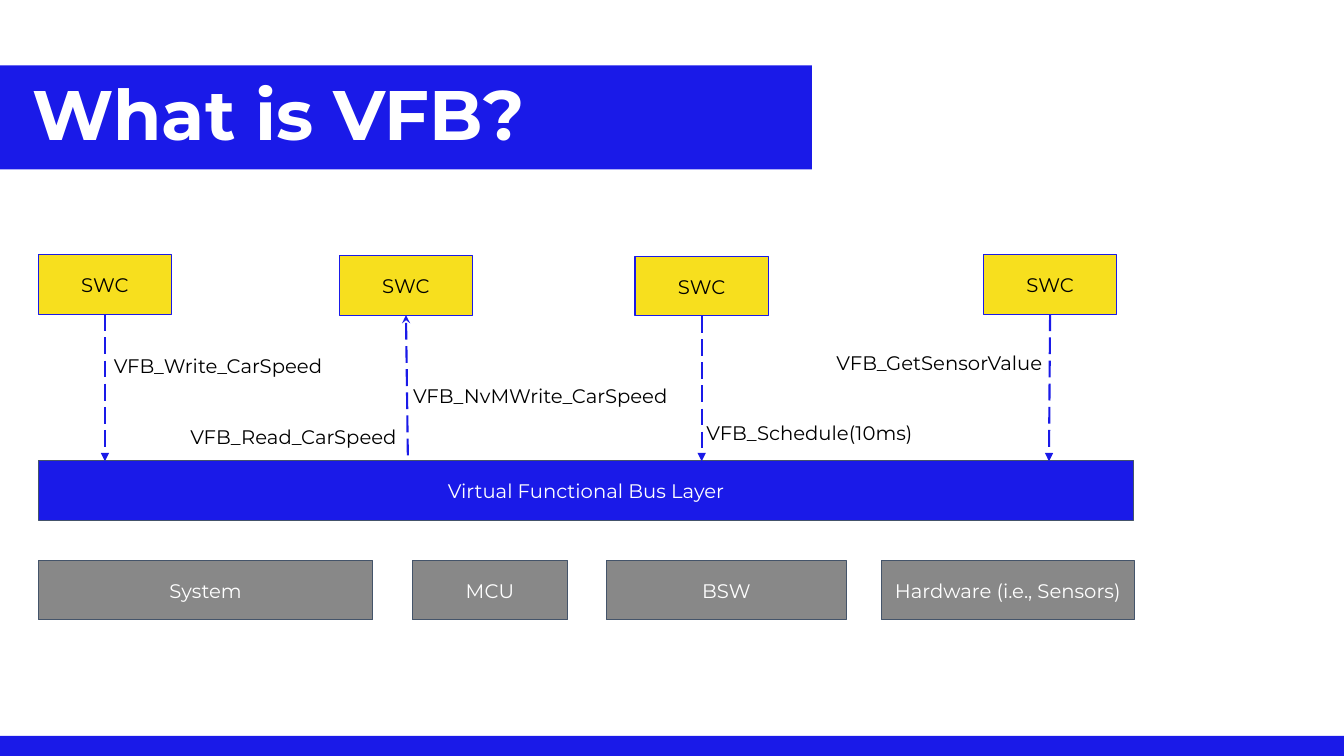
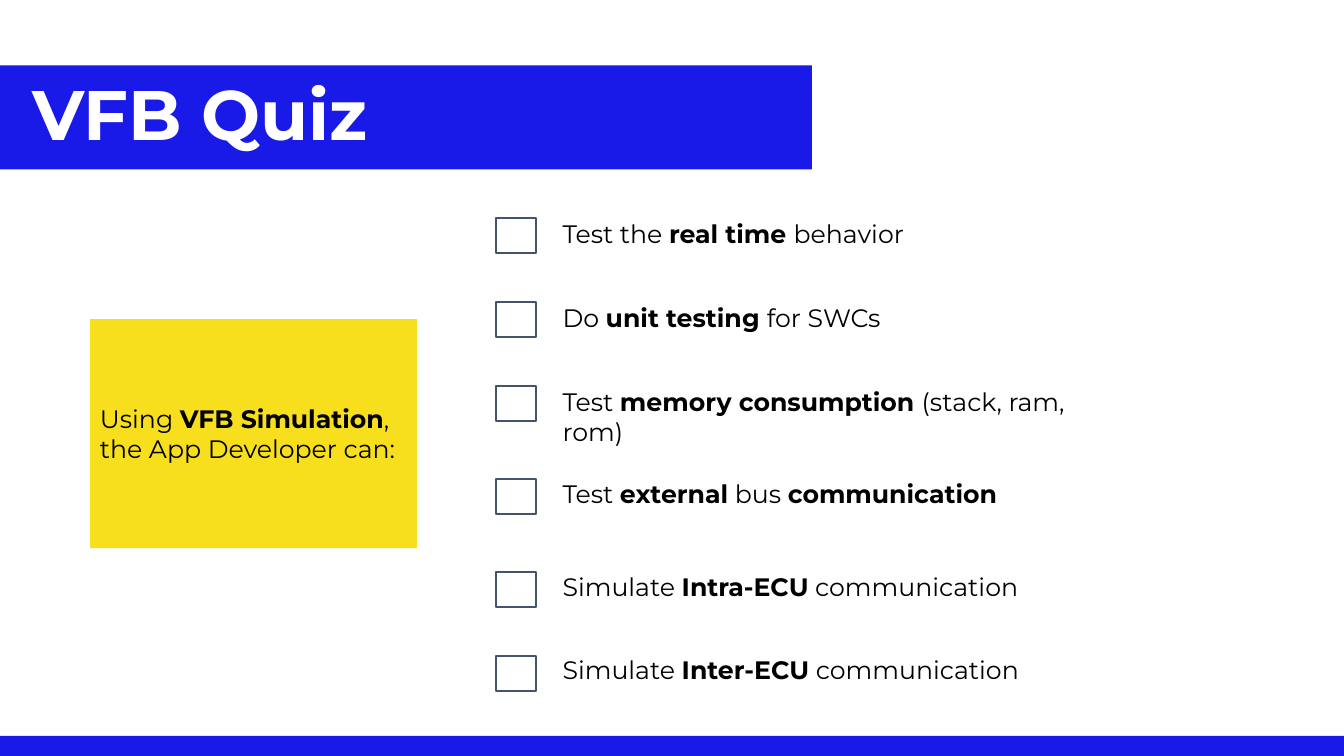
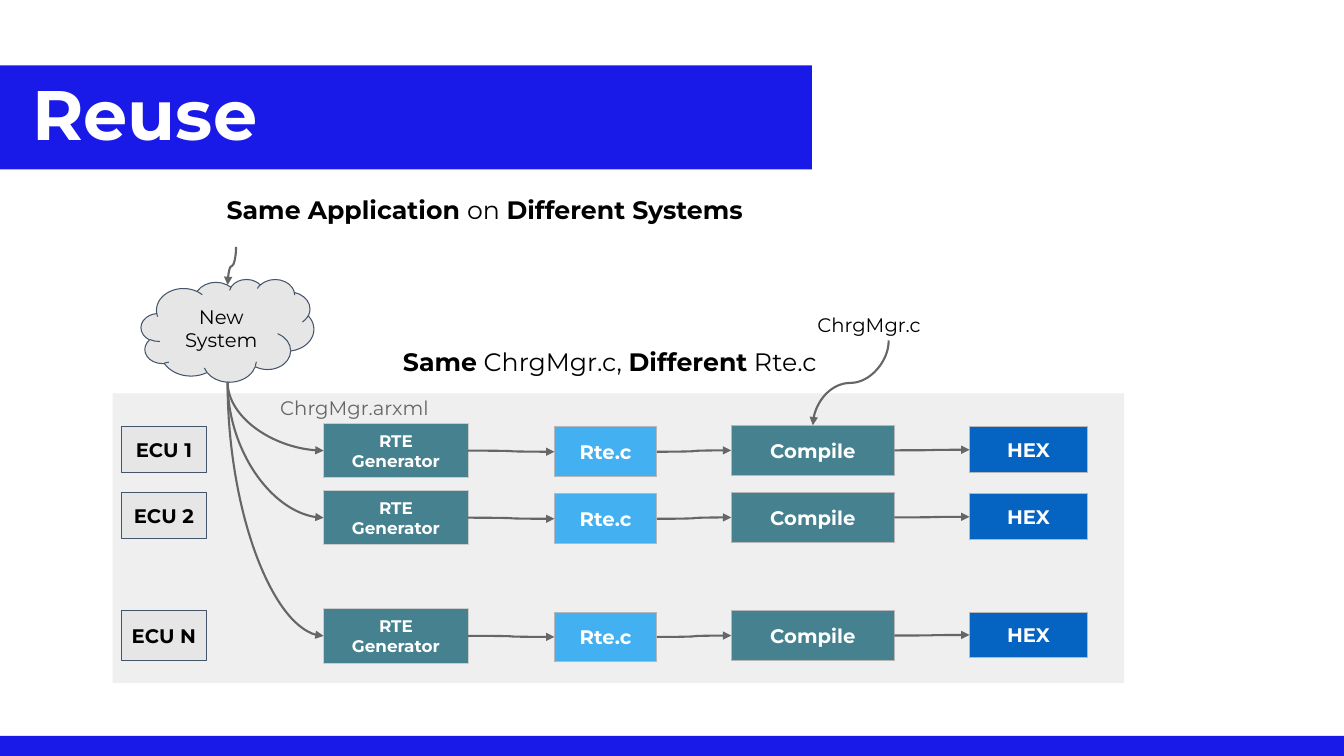
from dataclasses import dataclass
from itertools import pairwise
from typing import Any

from pptx import Presentation
from pptx.dml.color import RGBColor
from pptx.enum.dml import MSO_LINE
from pptx.enum.shapes import MSO_CONNECTOR as CONN, MSO_SHAPE as SHAPE
from pptx.enum.text import MSO_ANCHOR as ANCHOR, MSO_AUTO_SIZE as AUTO, PP_ALIGN as ALIGN
from pptx.oxml.ns import qn
from pptx.oxml.xmlchemy import OxmlElement
from pptx.util import Pt

BLUE, YELLOW, WHITE, BLACK = "1A1AE8", "F7DF1E", "FFFFFF", "000000"
SLATE, GRAY, PALE, PANEL = "44546A", "888888", "E7E6E6", "EFEFEF"
TEAL, SKY, NAVY, SILVER, LIGHT, DIM = "45818E", "43B0F1", "0563C1", "B7B7B7", "CCCCCC", "666666"
FONT = "Montserrat"
LINE_HEIGHT = 21.94  # one line of 18 pt Montserrat
TITLE_ONLY, TITLE_AND_BODY = 5, 1
TOP, LEFT, BOTTOM, RIGHT = range(4)


@dataclass
class Rect:
    left: float
    top: float
    width: float
    height: float

    def pts(self) -> list[int]:
        return [Pt(v) for v in (self.left, self.top, self.width, self.height)]


@dataclass
class Look:
    fill: str
    line: str | None = None
    color: str = BLACK
    size: float = 14
    bold: bool = False
    weight: float = 0.75
    align: Any = ALIGN.CENTER


@dataclass
class Label:
    text: str
    rect: Rect
    size: float = 14
    color: str = BLACK


@dataclass
class Call:
    """A software component and its arrow to the bus."""
    left: float
    top: float
    end_x: float
    arrow_end: str = "tailEnd"
    arrow_type: str = "triangle"


@dataclass
class QuizItem:
    box_top: float
    text: str
    lines: int = 1


@dataclass
class Stage:
    text: str
    left: float
    drop: float
    width: float
    height: float
    look: Look


def rgb(color: str) -> RGBColor:
    return RGBColor.from_string(color)


def set_all(target: Any, values: dict[str, Any]) -> None:
    for name, value in values.items():
        setattr(target, name, value)


def write(p: Any, text: str, size: float, color: str, bold: bool = False) -> None:
    """Fill a paragraph; text between ** marks switches the weight."""
    for i, part in enumerate(text.split("**")):
        if part:
            r = p.add_run()
            r.text = part
            set_all(r.font, {"name": FONT, "size": Pt(size), "bold": bold or i % 2 == 1})
            r.font.color.rgb = rgb(color)


def set_frame(tf: Any, anchor: Any, inset_y: float = 7.2) -> None:
    set_all(tf, {"word_wrap": True, "auto_size": AUTO.NONE, "vertical_anchor": anchor,
                 "margin_left": Pt(7.2), "margin_right": Pt(7.2),
                 "margin_top": Pt(inset_y), "margin_bottom": Pt(inset_y)})


def place(sp: Any, rect: Rect) -> None:
    set_all(sp, dict(zip(("left", "top", "width", "height"), rect.pts())))


def add_box(slide: Any, rect: Rect, look: Look, text: str = "", kind: Any = SHAPE.RECTANGLE) -> Any:
    sp = slide.shapes.add_shape(kind, *rect.pts())
    sp.shadow.inherit = False
    sp.fill.solid()
    sp.fill.fore_color.rgb = rgb(look.fill)
    if look.line:
        sp.line.color.rgb = rgb(look.line)
        sp.line.width = Pt(look.weight)
    else:
        sp.line.fill.background()
    if text:
        set_frame(sp.text_frame, ANCHOR.MIDDLE)
        p = sp.text_frame.paragraphs[0]
        p.alignment = look.align
        write(p, text, look.size, look.color, look.bold)
    return sp


def add_label(slide: Any, label: Label) -> None:
    tf = slide.shapes.add_textbox(*label.rect.pts()).text_frame
    set_frame(tf, ANCHOR.TOP)
    write(tf.paragraphs[0], label.text, label.size, label.color)


def add_line(slide: Any, kind: Any, x1: float, y1: float, x2: float, y2: float, color: str,
             end: str = "tailEnd", arrow: str = "triangle", dash: Any = None) -> Any:
    cn = slide.shapes.add_connector(kind, Pt(x1), Pt(y1), Pt(x2), Pt(y2))
    cn.line.color.rgb = rgb(color)
    cn.line.width = Pt(1.5)
    if dash:
        cn.line.dash_style = dash
    head = OxmlElement(f"a:{end}")
    head.set("type", arrow)
    cn.line._get_or_add_ln().append(head)
    cn.element.spPr.append(OxmlElement("a:effectLst"))
    return cn


def add_drop_curve(slide: Any, x1: float, y1: float, x2: float, y2: float) -> None:
    """Curved arrow that leaves downward: a quarter bend to the right, an S bend to the left."""
    w, h = abs(y2 - y1), abs(x2 - x1)
    cx, cy = (x1 + x2) / 2, (y1 + y2) / 2
    cn = add_line(slide, CONN.CURVE, cx - w / 2, cy - h / 2, cx + w / 2, cy + h / 2, DIM)
    xfrm = cn.element.spPr.find(qn("a:xfrm"))
    if x2 > x1:
        xfrm.set("rot", str(270 * 60000))
        xfrm.set("flipH", "1")
        cn.element.spPr.find(qn("a:prstGeom")).set("prst", "curvedConnector2")
    else:
        xfrm.set("rot", str(90 * 60000))


def add_master_bands(prs: Any, slide: Any) -> None:
    """Draw the title band and footer band, then move them to the slide master."""
    bands = Rect(0, 46.8, 580, 74.2), Rect(0, 525.6, 960, 14.4)
    for i, rect in enumerate(bands):
        band = add_box(slide, rect, Look(BLUE)).element
        band.nvSpPr.cNvPr.id = 101 + i
        prs.slide_master.shapes.element.insert(2 + i, band)


def add_slide(prs: Any, title: str, layout: int = TITLE_ONLY) -> Any:
    slide = prs.slides.add_slide(prs.slide_layouts[layout])
    sp = slide.shapes.title
    place(sp, Rect(15.8, 47.3, 564.5, 74.2))
    set_frame(sp.text_frame, ANCHOR.MIDDLE, 3.6)
    p = sp.text_frame.paragraphs[0]
    set_all(p, {"alignment": ALIGN.LEFT, "line_spacing": 0.9})
    write(p, title, 50, WHITE, True)
    return slide


def build_bus(slide: Any) -> None:
    bus_top, height = 329, 42.5
    add_box(slide, Rect(27.4, bus_top, 782.6, height), Look(BLUE, SLATE, WHITE),
            "Virtual Functional Bus Layer")
    for left, width, text in ((27.4, 239, "System"), (294.5, 111, "MCU"),
                              (433.2, 171.5, "BSW"), (629.6, 180.6, "Hardware (i.e., Sensors)")):
        add_box(slide, Rect(left, 400.3, width, height), Look(GRAY, SLATE, WHITE), text)
    for call in (Call(27.4, 182, 75), Call(242.4, 182.6, 291.4, "headEnd", "stealth"),
                 Call(453.6, 183.2, 501.2), Call(702.5, 182, 749.3)):
        swc = add_box(slide, Rect(call.left, call.top, 95.2, height), Look(YELLOW, BLUE), "SWC")
        cn = add_line(slide, CONN.STRAIGHT, call.left, call.top, call.end_x, bus_top + 0.5, BLUE,
                      call.arrow_end, call.arrow_type, MSO_LINE.LONG_DASH)
        cn.begin_connect(swc, BOTTOM)
    for text, left, top, width in (("VFB_Write_CarSpeed", 74.2, 245.5, 168.5),
                                   ("VFB_Read_CarSpeed", 128.9, 296.6, 168.5),
                                   ("VFB_NvMWrite_CarSpeed", 288, 267, 210),
                                   ("VFB_GetSensorValue", 590.4, 243.4, 165),
                                   ("VFB_Schedule(10ms)", 497.5, 293.8, 185)):
        add_label(slide, Label(text, Rect(left, top, width, 33)))


def build_quiz(slide: Any) -> None:
    items = [QuizItem(155.5, "Test the **real time **behavior"),
             QuizItem(215.5, "Do **unit testing **for SWCs"),
             QuizItem(275.5, "Test **memory consumption **(stack, ram, rom)", 2),
             QuizItem(342, "Test **external** bus **communication**"),
             QuizItem(408.7, "Simulate **Intra-ECU** communication"),
             QuizItem(468.7, "Simulate **Inter-ECU** communication")]
    body = slide.placeholders[1]
    place(body, Rect(394.6, 149, 409.7, 352))
    tf = body.text_frame
    set_frame(tf, ANCHOR.TOP)
    gaps = [0.0] + [b.box_top - a.box_top - a.lines * LINE_HEIGHT for a, b in pairwise(items)]
    for i, (item, gap) in enumerate(zip(items, gaps)):
        add_box(slide, Rect(354.2, item.box_top, 29, 25.2), Look(WHITE, SLATE, weight=1.5))
        p = tf.add_paragraph() if i else tf.paragraphs[0]
        set_all(p, {"alignment": ALIGN.LEFT, "line_spacing": 1.0,
                    "space_before": Pt(round(gap, 1)), "space_after": Pt(0)})
        pPr = p._p.get_or_add_pPr()
        pPr.set("marL", "0")
        pPr.set("indent", "0")
        pPr.append(OxmlElement("a:buNone"))
        write(p, item.text, 18, BLACK)
    add_box(slide, Rect(64.3, 228, 233.5, 163.5), Look(YELLOW, size=18, align=ALIGN.LEFT),
            "Using **VFB Simulation**, the App Developer can:")


def build_reuse(slide: Any) -> None:
    add_box(slide, Rect(80.4, 281, 722.6, 206.8), Look(PANEL))
    add_box(slide, Rect(100.8, 199.4, 123.4, 73.4), Look(PALE, SLATE), "New System", SHAPE.CLOUD)
    stages = [
        Stage("RTE Generator", 231.2, 0, 103.3, 38.8, Look(TEAL, LIGHT, WHITE, 12, True)),
        Stage("Rte.c", 396, 2.4, 73.2, 35.6, Look(SKY, SILVER, WHITE, 14, True)),
        Stage("Compile", 522.3, 1.4, 116.6, 35.6, Look(TEAL, SILVER, WHITE, 14, True)),
        Stage("HEX", 692.6, 2.4, 84.2, 32.8, Look(NAVY, SILVER, WHITE, 14, True)),
    ]
    ecus = (("ECU 1", 302.5, 304.8, 32.8), ("ECU 2", 350.4, 351.6, 32.8), ("ECU N", 434.8, 436, 36))
    for name, row_top, ecu_top, ecu_height in ecus:
        add_box(slide, Rect(86.6, ecu_top, 61, ecu_height), Look(PALE, SLATE, bold=True), name)
        boxes = [add_box(slide, Rect(s.left, row_top + s.drop, s.width, s.height), s.look, s.text)
                 for s in stages]
        for a, b in pairwise(boxes):
            cn = add_line(slide, CONN.CURVE, 0, 0, 0, 0, DIM)
            cn.begin_connect(a, RIGHT)
            cn.end_connect(b, LEFT)
        first = stages[0]
        add_drop_curve(slide, 162.6, 272.8, first.left, row_top + first.height / 2)
    add_drop_curve(slide, 168.6, 176.4, 162.6, 203.6)
    add_drop_curve(slide, 634.8, 243.2, 580.6, 303.8)
    for label in (Label("ChrgMgr.arxml", Rect(193, 275.8, 130.3, 27.4), color=DIM),
                  Label("ChrgMgr.c", Rect(576.7, 216, 116, 27.4)),
                  Label("**Same Application **on **Different Systems**",
                        Rect(154.8, 131.8, 406, 42.5), 18),
                  Label("**Same** ChrgMgr.c, **Different** Rte.c",
                        Rect(280.8, 239.8, 321.8, 42.5), 18)):
        add_label(slide, label)


def main() -> None:
    prs = Presentation()
    set_all(prs, {"slide_width": Pt(960), "slide_height": Pt(540)})
    bus = add_slide(prs, "What is VFB?")
    add_master_bands(prs, bus)
    build_bus(bus)
    build_quiz(add_slide(prs, "VFB Quiz", TITLE_AND_BODY))
    build_reuse(add_slide(prs, "Reuse"))
    prs.save("out.pptx")


if __name__ == "__main__":
    main()
